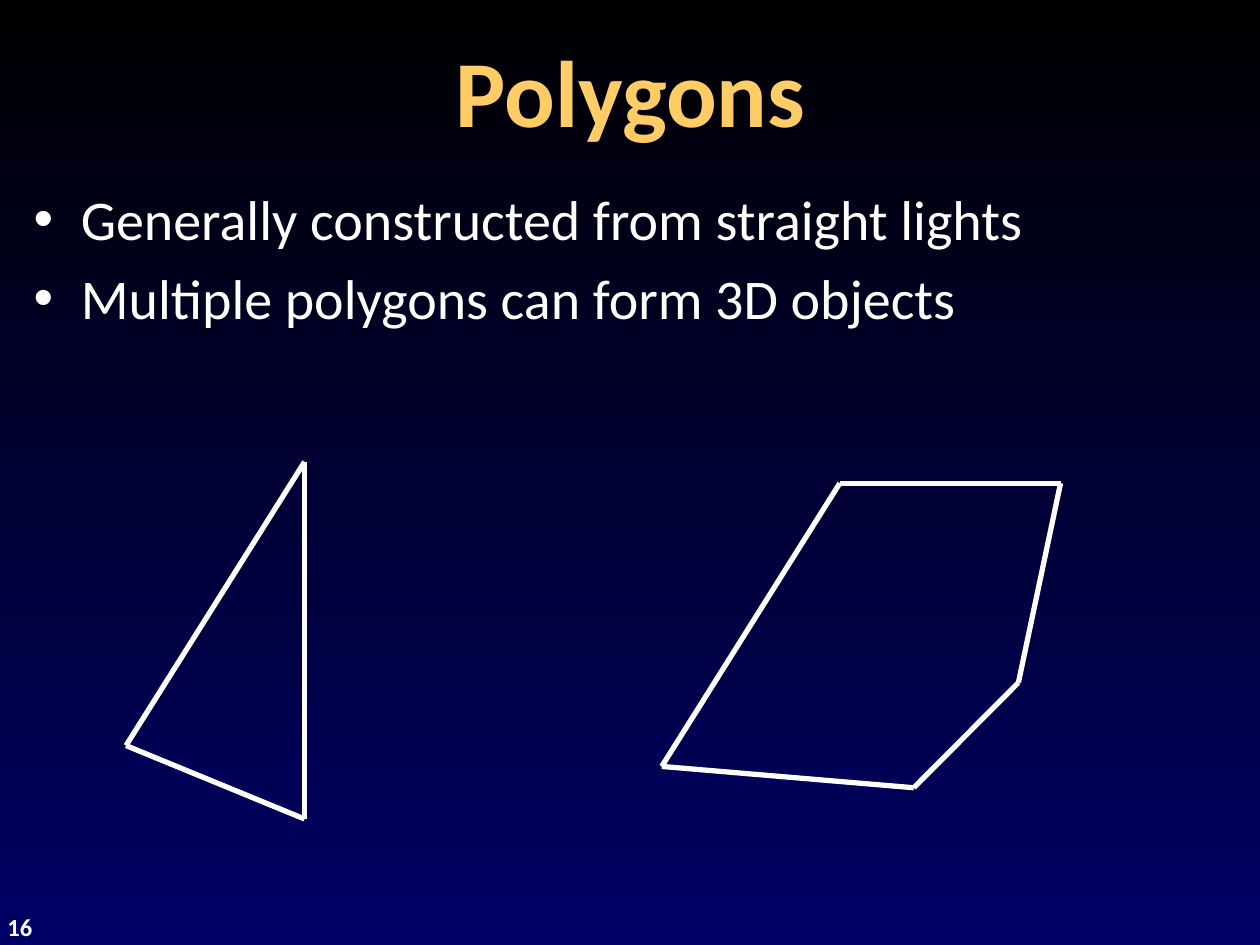
from typing import NamedTuple

from lxml import etree
from pptx import Presentation
from pptx import util as u
from pptx.dml.color import RGBColor
from pptx.enum import shapes, text
from pptx.oxml.ns import qn

COLORS = {"top": "000000", "bottom": "000066", "title": "FFCC66", "white": "FFFFFF"}
FONT = "Calibri"


class Point(NamedTuple):
    x: float
    y: float


class Polygon(NamedTuple):
    corners: tuple[Point, ...]


POLYGONS = [
    Polygon((Point(2.54, 15.03), Point(6.14, 9.31), Point(6.14, 16.51))),
    Polygon((Point(13.34, 15.45), Point(16.93, 9.74), Point(21.38, 9.74),
             Point(20.53, 13.76), Point(18.42, 15.88))),
]
BULLETS = [
    "Generally constructed from straight lights",
    "Multiple polygons can form 3D objects",
]


def color(name: str) -> RGBColor:
    return RGBColor.from_string(COLORS[name])


def format_runs(paragraph, size: float, color_name: str, bold: bool = False) -> None:
    for run in paragraph.runs:
        run.font.name = FONT
        run.font.size = u.Pt(size)
        run.font.bold = bold
        run.font.color.rgb = color(color_name)


def paint_background(slide) -> None:
    fill = slide.background.fill
    fill.gradient()
    fill.gradient_angle = 270
    for stop, position, name in zip(fill.gradient_stops, (0, 1), ("top", "bottom")):
        stop.position = position
        stop.color.rgb = color(name)


def add_title(slide, words: str) -> None:
    title = slide.shapes.title
    title.left, title.top, title.width, title.height = (
        u.Cm(0.43), u.Cm(0.43), u.Cm(24.56), u.Cm(2.74))
    frame = title.text_frame
    frame.text = words
    frame.vertical_anchor = text.MSO_ANCHOR.MIDDLE
    frame.paragraphs[0].alignment = text.PP_ALIGN.CENTER
    format_runs(frame.paragraphs[0], 54, "title", bold=True)


def add_bullets(slide, items: list[str]) -> None:
    box = slide.shapes.add_textbox(u.Cm(0.43), u.Cm(3.6), u.Cm(24.56), u.Cm(14.28))
    frame = box.text_frame
    frame.word_wrap = True
    frame.text = "\n".join(items)
    for index, paragraph in enumerate(frame.paragraphs):
        paragraph.space_before = u.Pt(6.4 if index else 0)
        properties = paragraph._p.get_or_add_pPr()
        properties.set("marL", str(u.Cm(0.95)))
        properties.set("indent", str(-u.Cm(0.95)))
        etree.SubElement(properties, qn("a:buFont"), typeface="Arial")
        etree.SubElement(properties, qn("a:buChar"), char="•")
        format_runs(paragraph, 32, "white")


def add_page_number(slide, number: str) -> None:
    box = slide.shapes.add_textbox(u.Cm(-0.1), u.Cm(18.26), u.Cm(1.68), u.Cm(0.84))
    frame = box.text_frame
    frame.word_wrap = True
    frame.text = number
    format_runs(frame.paragraphs[0], 14, "white", bold=True)


def add_edge(slide, start: Point, end: Point) -> None:
    edge = slide.shapes.add_connector(
        shapes.MSO_CONNECTOR.STRAIGHT, *(u.Cm(value) for value in (*start, *end)))
    edge.line.color.rgb = color("white")
    edge.line.width = u.Pt(3)
    etree.SubElement(edge._element.spPr, qn("a:effectLst"))


def draw_polygon(slide, polygon: Polygon) -> None:
    corners = polygon.corners
    for start, end in zip(corners, corners[1:] + corners[:1]):
        add_edge(slide, start, end)


def main() -> None:
    presentation = Presentation()
    presentation.slide_width, presentation.slide_height = u.Cm(25.4), u.Cm(19.05)
    slide = presentation.slides.add_slide(presentation.slide_layouts[5])
    paint_background(slide)
    add_title(slide, "Polygons")
    add_bullets(slide, BULLETS)
    add_page_number(slide, "16")
    for polygon in POLYGONS:
        draw_polygon(slide, polygon)
    presentation.save("out.pptx")


if __name__ == "__main__":
    main()
